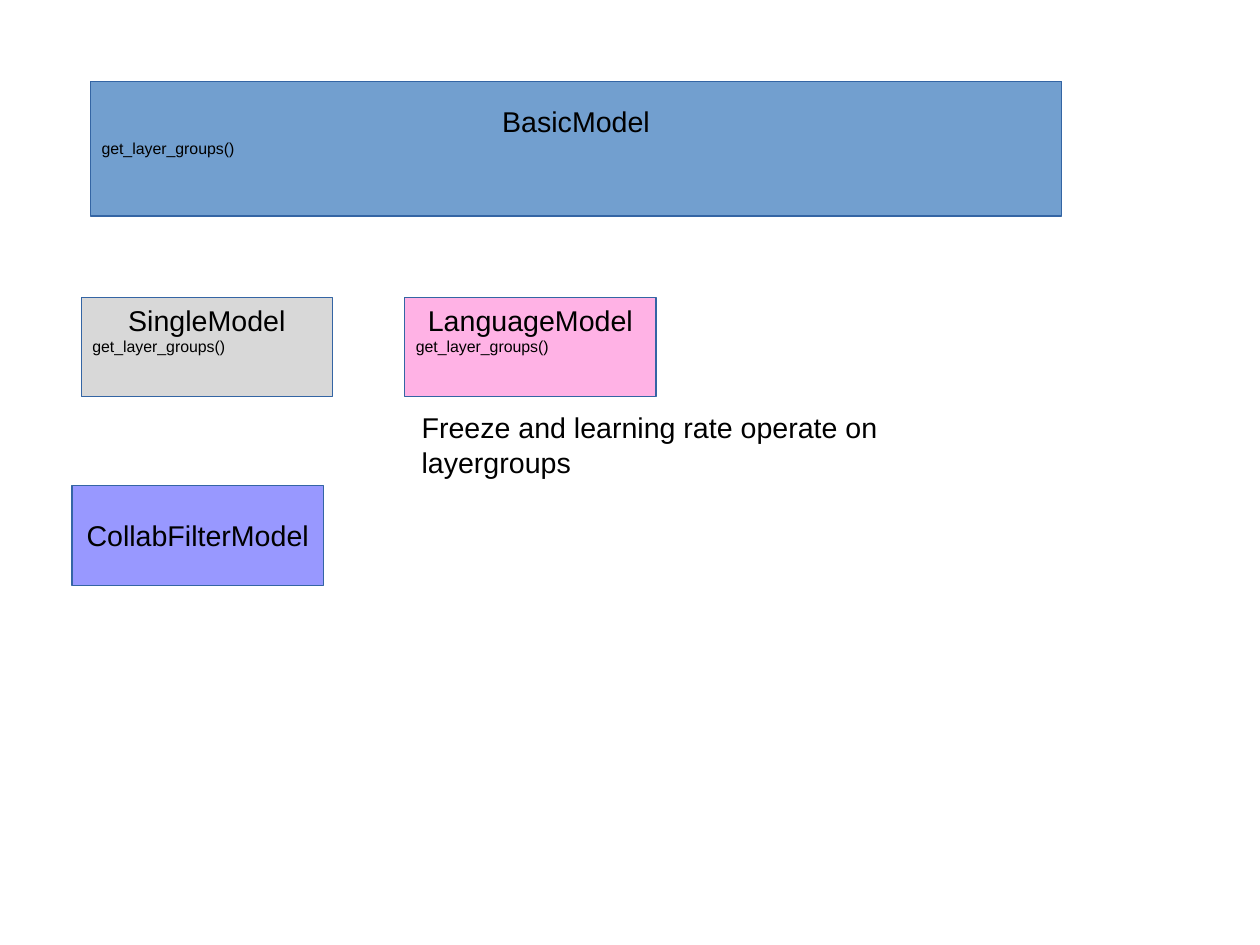
from dataclasses import dataclass

from lxml import etree
from pptx import Presentation
from pptx.dml.color import RGBColor
from pptx.enum.shapes import MSO_SHAPE
from pptx.enum.text import MSO_ANCHOR, PP_ALIGN
from pptx.oxml.ns import qn
from pptx.shapes.autoshape import Shape
from pptx.slide import Slide
from pptx.text.text import TextFrame
from pptx.util import Cm, Inches, Pt

RECTANGLE = MSO_SHAPE.RECTANGLE
MIDDLE, TOP = MSO_ANCHOR.MIDDLE, MSO_ANCHOR.TOP
CENTER, LEFT = PP_ALIGN.CENTER, PP_ALIGN.LEFT

BLACK = RGBColor(0x00, 0x00, 0x00)
OUTLINE = RGBColor(0x34, 0x65, 0xA4)
BLUE = RGBColor(0x72, 0x9F, 0xCF)
VIOLET = RGBColor(0x33, 0x33, 0xFF)
PINK = RGBColor(0xFF, 0x66, 0xCC)
GRAY = RGBColor(0xB2, 0xB2, 0xB2)

NAME_SIZE, METHOD_SIZE = 18, 10
MODEL_WIDTH, MODEL_HEIGHT = 2.2, 0.87
SUBCLASS_TOP = 2.6
METHOD = "get_layer_groups()"
PADDING = 0.05
METHOD_PADDING = 0.36


@dataclass(frozen=True)
class Model:
    name: str
    left: float
    top: float
    color: RGBColor
    width: float = MODEL_WIDTH
    height: float = MODEL_HEIGHT
    opacity: int = 50
    method: str = METHOD


MODELS = [
    Model("BasicModel", 0.79, 0.71, BLUE, width=8.5, height=1.18, opacity=100),
    Model("CollabFilterModel", 0.63, 4.25, VIOLET, method=""),
    Model("LanguageModel", 3.54, SUBCLASS_TOP, PINK),
    Model("SingleModel", 0.71, SUBCLASS_TOP, GRAY),
]


def format_frame(frame: TextFrame, anchor: MSO_ANCHOR, bottom: float) -> None:
    settings = {
        "word_wrap": True,
        "vertical_anchor": anchor,
        "margin_left": Inches(0.1),
        "margin_right": Inches(0.1),
        "margin_top": Inches(PADDING),
        "margin_bottom": Inches(bottom),
    }
    for attribute, value in settings.items():
        setattr(frame, attribute, value)


def write_line(frame: TextFrame, text: str, size: int, align: PP_ALIGN) -> None:
    first = frame.paragraphs[0]
    paragraph = frame.add_paragraph() if first.runs else first
    paragraph.alignment = align
    run = paragraph.add_run()
    run.text = text
    run.font.name = "Arial"
    run.font.size = Pt(size)
    run.font.color.rgb = BLACK


def set_opacity(shape: Shape, percent: int) -> None:
    color = shape.fill._xPr.find(qn("a:solidFill"))[0]
    etree.SubElement(color, qn("a:alpha")).set("val", str(percent * 1000))


def draw_model(slide: Slide, model: Model) -> None:
    box = slide.shapes.add_shape(
        RECTANGLE, Inches(model.left), Inches(model.top),
        Inches(model.width), Inches(model.height),
    )
    box.shadow.inherit = False
    box.fill.solid()
    box.fill.fore_color.rgb = model.color
    if model.opacity < 100:
        set_opacity(box, model.opacity)
    box.line.color.rgb = OUTLINE
    box.line.width = Pt(0.75)
    format_frame(box.text_frame, MIDDLE, METHOD_PADDING if model.method else PADDING)
    write_line(box.text_frame, model.name, NAME_SIZE, CENTER)
    if model.method:
        write_line(box.text_frame, model.method, METHOD_SIZE, LEFT)


def draw_remark(slide: Slide) -> None:
    remark = slide.shapes.add_textbox(
        Inches(3.59), Inches(3.54), Inches(4.39), Inches(0.66)
    )
    format_frame(remark.text_frame, TOP, PADDING)
    write_line(
        remark.text_frame,
        "Freeze and learning rate operate on layergroups",
        NAME_SIZE,
        LEFT,
    )


def main() -> None:
    deck = Presentation()
    deck.slide_width, deck.slide_height = Cm(28), Cm(21)
    slide = deck.slides.add_slide(deck.slide_layouts[6])
    for model in MODELS:
        draw_model(slide, model)
    draw_remark(slide)
    deck.save("out.pptx")


if __name__ == "__main__":
    main()
